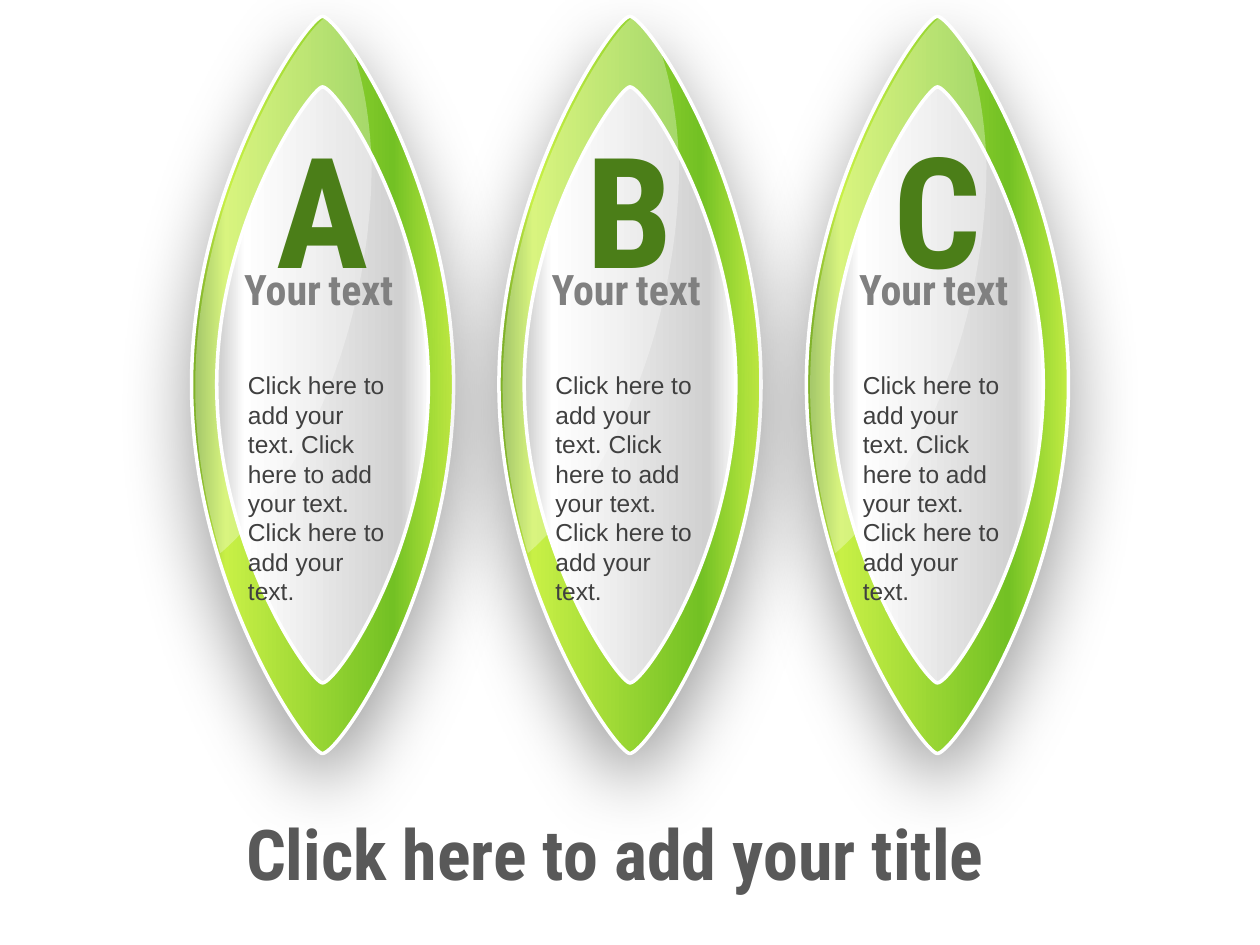
from lxml import etree
from pptx import Presentation
from pptx.dml.color import RGBColor
from pptx.enum.text import MSO_ANCHOR, MSO_AUTO_SIZE, PP_ALIGN
from pptx.oxml.ns import qn
from pptx.util import Inches, Pt

CENTER, LEFT = PP_ALIGN.CENTER, PP_ALIGN.LEFT
TOP, GROW = MSO_ANCHOR.TOP, MSO_AUTO_SIZE.SHAPE_TO_FIT_TEXT
WHITE = RGBColor(0xFF, 0xFF, 0xFF)
BLACK = RGBColor(0, 0, 0)
DARK_GREEN = RGBColor(0x4B, 0x7E, 0x18)
GREY = RGBColor(0x80, 0x80, 0x80)
BODY_GREY = RGBColor(0x40, 0x40, 0x40)
TITLE_GREY = RGBColor(0x59, 0x59, 0x59)
GREENS = [(2, RGBColor(0x80, 0xB2, 0x29)), (13, RGBColor(0xC8, 0xF0, 0x46)),
          (77, RGBColor(0x73, 0xC1, 0x24)), (100, RGBColor(0xC1, 0xEC, 0x43))]
SILVERS = [(2, RGBColor(0xBF, 0xBF, 0xBF)), (13, WHITE),
           (87, RGBColor(0xD0, 0xD0, 0xD0)), (100, RGBColor(0xFB, 0xFB, 0xFB))]

HEAD_FONT, BODY_FONT = "Roboto Condensed", "Arial"
FIRST_CENTER, PITCH = 2.56, 2.44
BODY = " ".join(["Click here to add your text."] * 3)

# Each outline is a start point and cubic segments, with x from the column centre.
RIM = [(0, 0.13), [(0.13, 0.13), (1.04, 1.44), (1.04, 3.05)],
       [(1.04, 4.67), (0.13, 5.98), (0, 5.98)],
       [(-0.1, 5.99), (-1.04, 4.67), (-1.04, 3.05)],
       [(-1.04, 1.44), (-0.1, 0.11), (0, 0.13)]]
PANEL = [(0, 0.69), [(0.11, 0.69), (0.84, 1.75), (0.84, 3.05)],
         [(0.84, 4.37), (0.11, 5.42), (0, 5.42)],
         [(-0.08, 5.43), (-0.84, 4.37), (-0.84, 3.05)],
         [(-0.84, 1.75), (-0.08, 0.68), (0, 0.69)]]
GLOSS = [(0.03, 0.14), [(0.06, 0.14), (0.13, 0.21), (0.22, 0.34)],
         [(0.32, 0.61), (0.38, 0.94), (0.39, 1.31)],
         [(0.39, 1.68), (0.34, 2.08), (0.24, 2.49)],
         [(0.03, 3.32), (-0.37, 4.01), (-0.81, 4.39)],
         [(-0.93, 3.99), (-1.01, 3.54), (-1.01, 3.07)],
         [(-1.01, 1.45), (-0.07, 0.13), (0.03, 0.14)]]


def add_outline(slide, outline, center, rotation):
    """Add a closed curved shape, lying on its side and rotated upright."""
    start, *segments = outline
    xs, ys = zip(start, *(seg[-1] for seg in segments))
    mid_x, mid_y = (min(xs) + max(xs)) / 2, (min(ys) + max(ys)) / 2
    turn = 1 if rotation == 90 else -1

    def lay(point):
        """Turn an upright point into the frame of the lying shape."""
        x, y = point
        return (Inches(center + mid_x + turn * (y - mid_y)),
                Inches(mid_y - turn * (x - mid_x)))

    builder = slide.shapes.build_freeform(*lay(start), scale=1.0)
    builder.add_line_segments([lay(seg[-1]) for seg in segments], close=True)
    sp = builder.convert_to_shape()
    lines = list(sp._element.spPr.iter(qn("a:lnTo")))
    for line, seg in zip(lines, segments):
        curve = etree.Element(qn("a:cubicBezTo"))
        for x, y in map(lay, seg):
            etree.SubElement(curve, qn("a:pt"), x=str(x - sp.left), y=str(y - sp.top))
        line.getparent().replace(line, curve)
    sp.rotation = rotation
    sp.shadow.inherit = False
    sp.line.fill.background()
    return sp


def add_color(parent, color, alpha=100):
    """Append a colour element with an opacity in percent."""
    clr = etree.SubElement(parent, qn("a:srgbClr"), val=str(color))
    if alpha < 100:
        etree.SubElement(clr, qn("a:alpha"), val=str(alpha * 1000))


def set_gradient(sp, stops):
    """Fill from left to right as seen on the slide and draw a white edge."""
    sp.fill.gradient()
    sp.fill.gradient_angle = sp.rotation
    gs_list = sp._element.spPr.find(".//" + qn("a:gsLst"))
    for gs in list(gs_list):
        gs_list.remove(gs)
    for pos, color in stops:
        add_color(etree.SubElement(gs_list, qn("a:gs"), pos=str(pos * 1000)), color)
    sp.line.color.rgb = WHITE
    sp.line.width = Pt(2)


def set_shadow(sp):
    """Give the shape a soft shadow falling downwards."""
    effects = sp._element.spPr.find(qn("a:effectLst"))
    shadow = etree.SubElement(effects, qn("a:outerShdw"), blurRad=str(Pt(43)),
                              dist=str(Pt(16)), dir="5400000", rotWithShape="0")
    add_color(shadow, BLACK, 40)


def set_gloss(sp):
    """Fill the shape with translucent white."""
    sp.fill.solid()
    sp.fill.fore_color.rgb = WHITE
    clr = sp._element.spPr.find(qn("a:solidFill")).find(qn("a:srgbClr"))
    etree.SubElement(clr, qn("a:alpha"), val="31000")


def set_text(sp, runs, font, color, align=CENTER, bold=True, spacing=None, wrap=True):
    """Write one paragraph of (text, size) runs into a shape."""
    tf = sp.text_frame
    tf.word_wrap, tf.auto_size, tf.vertical_anchor = wrap, GROW, TOP
    p = tf.paragraphs[0]
    p.alignment, p.line_spacing = align, spacing
    for text, size in runs:
        r = p.add_run()
        r.text = text
        r.font.name, r.font.size, r.font.bold = font, Pt(size), bold
        r.font.color.rgb = color


def add_text(slide, center, top, width, height, runs, font, color, **style):
    """Add a text box centred on a given x."""
    box = slide.shapes.add_textbox(Inches(center - width / 2), Inches(top),
                                   Inches(width), Inches(height))
    set_text(box, runs, font, color, **style)


def add_leaf(slide, center, letter):
    """Add one leaf with its letter, heading and body text."""
    rim = add_outline(slide, RIM, center, 270)
    set_gradient(rim, GREENS)
    set_shadow(rim)
    set_gradient(add_outline(slide, PANEL, center, 90), SILVERS)
    set_gloss(add_outline(slide, GLOSS, center, 270))
    add_text(slide, center, 1.14, 0.94, 1.29, [(letter, 88)],
             HEAD_FONT, DARK_GREEN, spacing=0.8, wrap=False)
    add_text(slide, center - 0.03, 2.12, 1.59, 0.39,
             [("Your", 24), (" ", 18), ("text", 24)], HEAD_FONT, GREY, spacing=0.8)
    add_text(slide, center - 0.01, 2.89, 1.36, 1.38, [(BODY, 14)],
             BODY_FONT, BODY_GREY, align=LEFT, bold=False)


def add_title(slide):
    """Place the slide title below the leaves."""
    title = slide.shapes.title
    title.left, title.top = Inches(1.77), Inches(6.18)
    title.width, title.height = Inches(6.22), Inches(0.87)
    set_text(title, [("Click here to add your title", 40)],
             HEAD_FONT, TITLE_GREY, spacing=1.3)


def main():
    """Build and save the slide."""
    prs = Presentation()
    prs.slide_width, prs.slide_height = Inches(10), Inches(7.5)
    slide = prs.slides.add_slide(prs.slide_layouts[5])
    for i, letter in enumerate("ABC"):
        add_leaf(slide, FIRST_CENTER + i * PITCH, letter)
    add_title(slide)
    prs.save("out.pptx")


if __name__ == "__main__":
    main()
